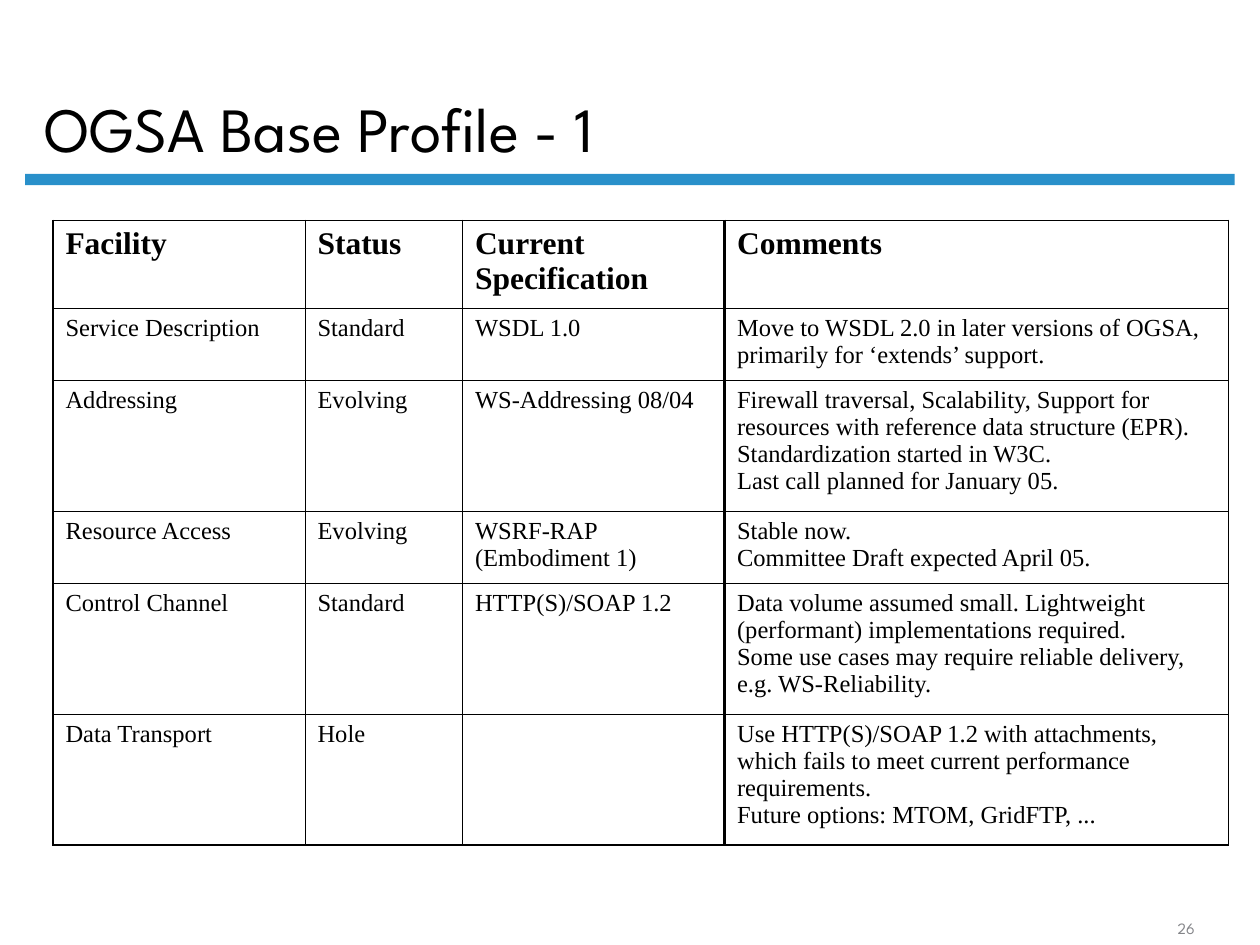
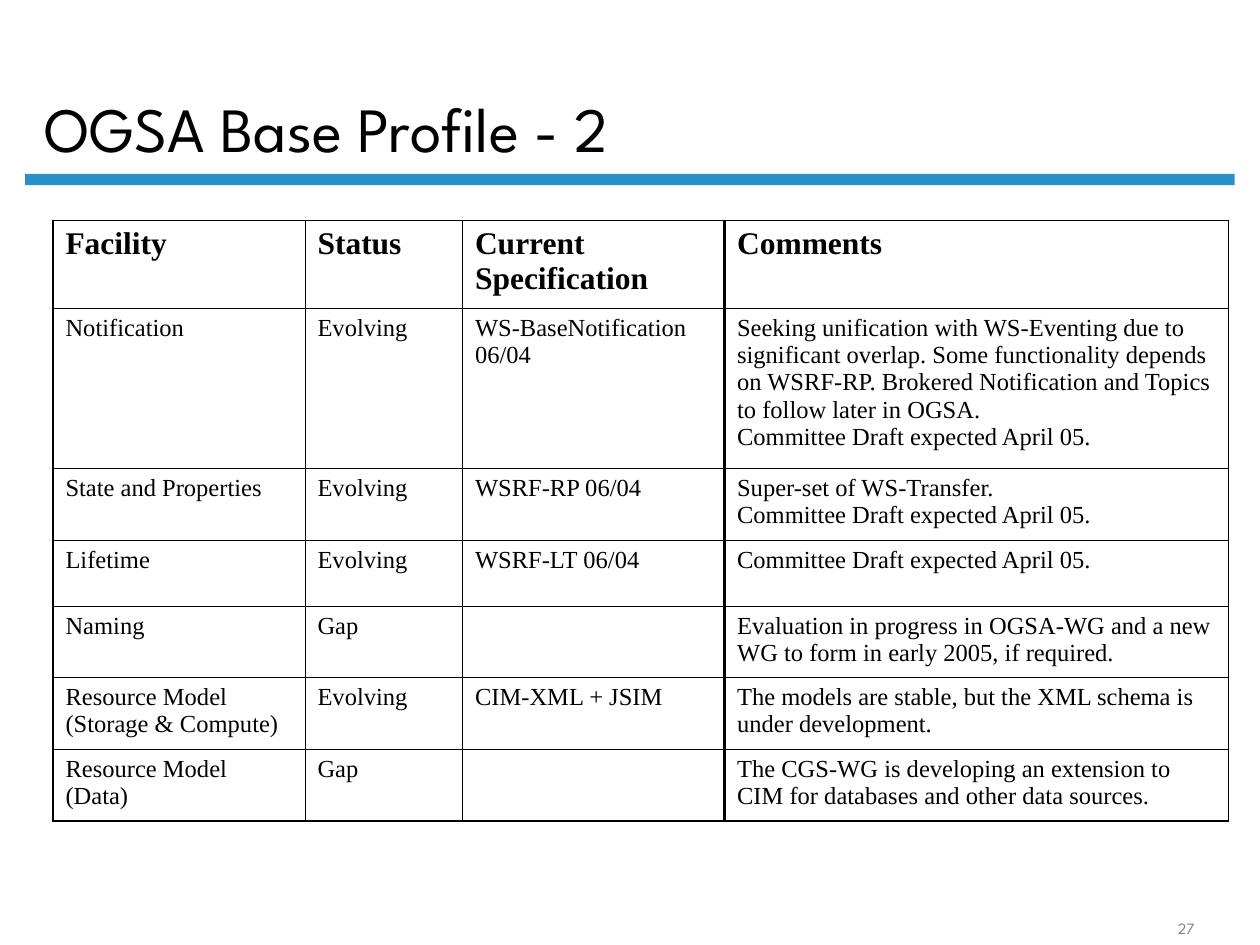
from dataclasses import dataclass

from lxml import etree
from pptx import Presentation
from pptx.dml.color import RGBColor
from pptx.enum.shapes import MSO_SHAPE
from pptx.enum.text import MSO_ANCHOR, MSO_AUTO_SIZE, PP_ALIGN
from pptx.oxml.ns import qn
from pptx.slide import Slide
from pptx.table import _Cell
from pptx.text.text import TextFrame, _Paragraph
from pptx.util import Inches, Pt

RECTANGLE = MSO_SHAPE.RECTANGLE
BOTTOM, TOP = MSO_ANCHOR.BOTTOM, MSO_ANCHOR.TOP
LEFT, CENTER = PP_ALIGN.LEFT, PP_ALIGN.CENTER
NO_AUTOFIT = MSO_AUTO_SIZE.NONE

# Shared look
BLACK, BAND_BLUE, NUMBER_GREY = "000000", "2990CA", "848589"
TITLE_FONT, TABLE_FONT = "League Spartan", "Times New Roman"
OUTER_LINE, INNER_LINE, COMMENTS_LINE = 1.08, 0.45, 1.47
TITLE_ONLY_LAYOUT = 5

HEADINGS = ("Facility", "Status", "Current Specification", "Comments")
COLUMN_WIDTHS = (2, 1.25, 2.08, 4)
HEADING_HEIGHT = 0.7
COMMENTS_COLUMN = 3


@dataclass(frozen=True)
class Facility:
    name: str
    status: str
    specification: str
    comments: tuple[str, ...]
    height: float = 0.57


@dataclass(frozen=True)
class ProfilePage:
    title: str
    number: int
    facilities: tuple[Facility, ...]


@dataclass(frozen=True)
class TextStyle:
    font: str
    size: float
    color: str = BLACK
    bold: bool = False


TITLE_STYLE = TextStyle(TITLE_FONT, 36)
NUMBER_STYLE = TextStyle(TITLE_FONT, 9, NUMBER_GREY)
HEADING_STYLE = TextStyle(TABLE_FONT, 18, bold=True)
ENTRY_STYLE = TextStyle(TABLE_FONT, 14)

# Content
DRAFT_EXPECTED = "Committee Draft expected April 05."

PAGES = (
    ProfilePage("OGSA Base Profile - 1", 26, (
        Facility("Service Description", "Standard", "WSDL 1.0", (
            "Move to WSDL 2.0 in later versions of OGSA, primarily for ‘extends’ support.",)),
        Facility("Addressing", "Evolving", "WS-Addressing 08/04", (
            "Firewall traversal, Scalability, Support for resources with reference "
            "data structure (EPR). Standardization started in W3C.",
            "Last call planned for January 05."), 1.04),
        Facility("Resource Access", "Evolving", "WSRF-RAP (Embodiment 1)", (
            "Stable now.", DRAFT_EXPECTED)),
        Facility("Control Channel", "Standard", "HTTP(S)/SOAP 1.2", (
            "Data volume assumed small. Lightweight (performant) implementations required.",
            "Some use cases may require reliable delivery, e.g. WS-Reliability."), 1.04),
        Facility("Data Transport", "Hole", "", (
            "Use HTTP(S)/SOAP 1.2 with attachments, which fails to meet current "
            "performance requirements.",
            "Future options: MTOM, GridFTP, ..."), 1.04),
    )),
    ProfilePage("OGSA Base Profile - 2", 27, (
        Facility("Notification", "Evolving", "WS-BaseNotification 06/04", (
            "Seeking unification with WS-Eventing due to significant overlap. Some "
            "functionality depends on WSRF-RP. Brokered Notification and Topics to "
            "follow later in OGSA.",
            DRAFT_EXPECTED), 1.27),
        Facility("State and Properties", "Evolving", "WSRF-RP 06/04", (
            "Super-set of WS-Transfer.", DRAFT_EXPECTED)),
        Facility("Lifetime", "Evolving", "WSRF-LT 06/04", (DRAFT_EXPECTED,), 0.52),
        Facility("Naming", "Gap", "", (
            "Evaluation in progress in OGSA-WG and a new WG to form in early 2005, "
            "if required.",)),
        Facility("Resource Model (Storage & Compute)", "Evolving", "CIM-XML + JSIM", (
            "The models are stable, but the XML schema is under development.",)),
        Facility("Resource Model (Data)", "Gap", "", (
            "The CGS-WG is developing an extension to CIM for databases and other "
            "data sources.",)),
    )),
)


def rgb(color: str) -> RGBColor:
    return RGBColor.from_string(color)


def add_run(paragraph: _Paragraph, text: str, style: TextStyle) -> None:
    run = paragraph.add_run()
    run.text = text
    run.font.name = style.font
    run.font.size = Pt(style.size)
    run.font.bold = style.bold
    run.font.color.rgb = rgb(style.color)


def prepare_frame(frame: TextFrame) -> _Paragraph:
    """Set a bottom-anchored, fixed-size frame and return its paragraph."""
    frame.word_wrap = True
    frame.auto_size = NO_AUTOFIT
    frame.vertical_anchor = BOTTOM
    return frame.paragraphs[0]


def add_band(slide: Slide) -> None:
    band = slide.shapes.add_shape(
        RECTANGLE, Inches(0.2), Inches(1.38), Inches(9.6), Inches(0.09))
    band.shadow.inherit = False
    band.fill.solid()
    band.fill.fore_color.rgb = rgb(BAND_BLUE)
    band.line.fill.background()


def add_title(slide: Slide, text: str) -> None:
    title = slide.shapes.title
    title.left, title.top = Inches(0.25), Inches(0.12)
    title.width, title.height = Inches(8.56), Inches(1.25)
    paragraph = prepare_frame(title.text_frame)
    paragraph.alignment = LEFT
    paragraph.line_spacing = 0.9
    add_run(paragraph, text, TITLE_STYLE)


def add_page_number(slide: Slide, number: int) -> None:
    page_number = slide.shapes.add_textbox(
        Inches(9), Inches(7.25), Inches(0.83), Inches(0.24))
    paragraph = prepare_frame(page_number.text_frame)
    paragraph.alignment = CENTER
    add_run(paragraph, str(number), NUMBER_STYLE)


def set_borders(cell: _Cell, left: float, right: float, top: float, bottom: float) -> None:
    properties = cell._tc.get_or_add_tcPr()
    sides = {"a:lnL": left, "a:lnR": right, "a:lnT": top, "a:lnB": bottom}
    for position, (tag, width) in enumerate(sides.items()):
        line = etree.Element(qn(tag), w=str(Pt(width)))
        fill = etree.SubElement(line, qn("a:solidFill"))
        etree.SubElement(fill, qn("a:srgbClr"), val=BLACK)
        properties.insert(position, line)


def fill_cell(cell: _Cell, lines: tuple[str, ...], style: TextStyle) -> None:
    cell.fill.background()
    cell.vertical_anchor = TOP
    cell.margin_left = cell.margin_right = Inches(0.1)
    cell.margin_top = cell.margin_bottom = Inches(0.05)
    frame = cell.text_frame
    for index, line in enumerate(lines):
        paragraph = frame.add_paragraph() if index else frame.paragraphs[0]
        if line:
            add_run(paragraph, line, style)


def add_facility_table(slide: Slide, facilities: tuple[Facility, ...]) -> None:
    heights = [HEADING_HEIGHT] + [facility.height for facility in facilities]
    entries = [[(heading,) for heading in HEADINGS]]
    entries += [[(f.name,), (f.status,), (f.specification,), f.comments]
                for f in facilities]
    last_row, last_column = len(heights) - 1, len(HEADINGS) - 1
    table = slide.shapes.add_table(
        len(heights), len(HEADINGS), Inches(0.42), Inches(1.75),
        Inches(sum(COLUMN_WIDTHS)), Inches(sum(heights))).table
    table.first_row = table.horz_banding = False
    for column, width in zip(table.columns, COLUMN_WIDTHS):
        column.width = Inches(width)

    # Thin grid, heavier frame, heaviest rule before the comments
    verticals = [INNER_LINE] * (last_column + 2)
    verticals[0] = verticals[-1] = OUTER_LINE
    verticals[COMMENTS_COLUMN] = COMMENTS_LINE
    for r, (height, row_entries) in enumerate(zip(heights, entries)):
        table.rows[r].height = Inches(height)
        top = INNER_LINE if r else OUTER_LINE
        bottom = OUTER_LINE if r == last_row else INNER_LINE
        for c, lines in enumerate(row_entries):
            cell = table.cell(r, c)
            fill_cell(cell, lines, ENTRY_STYLE if r else HEADING_STYLE)
            set_borders(cell, verticals[c], verticals[c + 1], top, bottom)


def main() -> None:
    deck = Presentation()
    deck.slide_width, deck.slide_height = Inches(10), Inches(7.5)
    for page in PAGES:
        slide = deck.slides.add_slide(deck.slide_layouts[TITLE_ONLY_LAYOUT])
        add_band(slide)
        add_title(slide, page.title)
        add_facility_table(slide, page.facilities)
        add_page_number(slide, page.number)
    deck.save("out.pptx")


if __name__ == "__main__":
    main()
